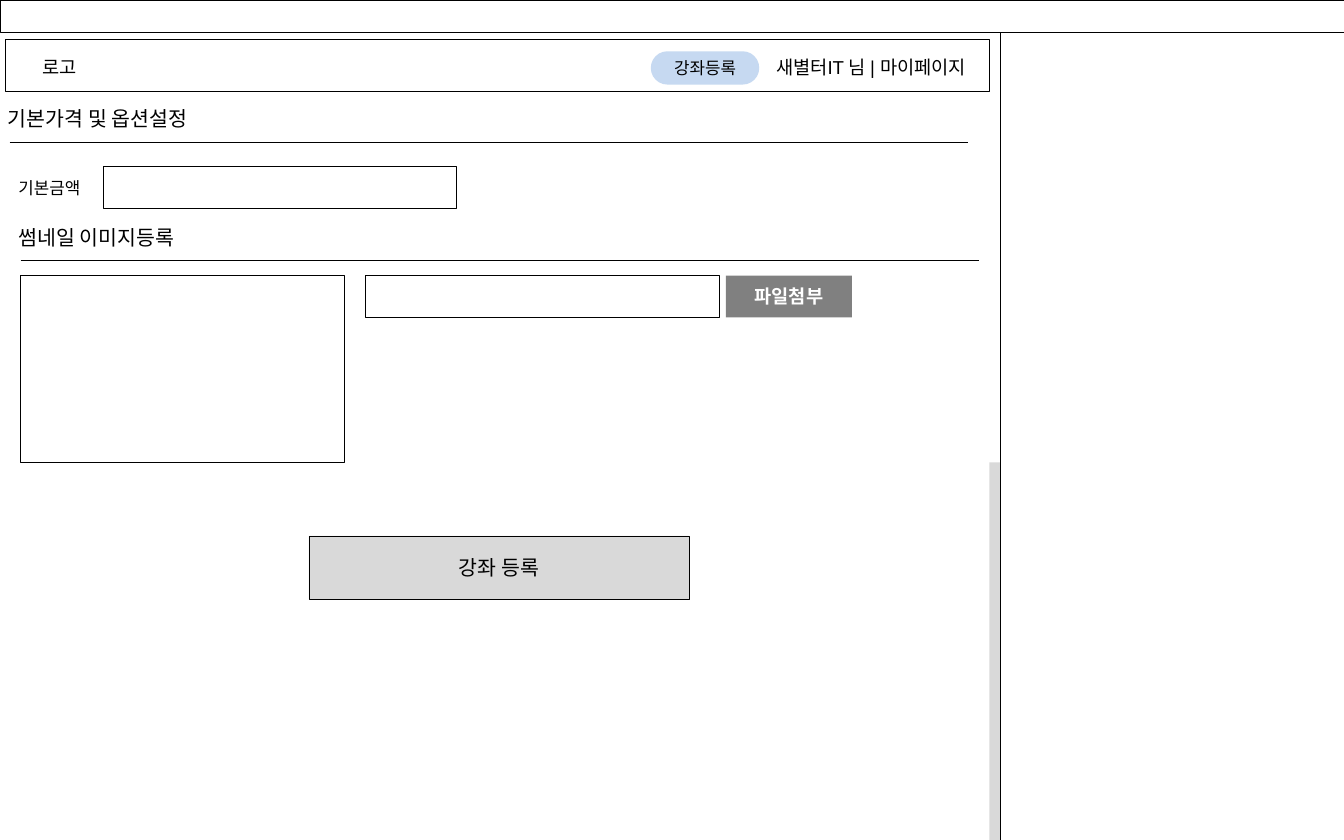
from lxml import etree
from pptx import Presentation
from pptx.dml.color import RGBColor
from pptx.enum import shapes, text
from pptx.oxml.ns import qn
from pptx.util import Cm, Pt

COLORS = {"black": "000000", "white": "FFFFFF", "pill": "C6D9F1",
          "light": "D9D9D9", "grey": "808080"}
KOREAN = "Noto Sans CJK KR"
SLIDE_W, SLIDE_H = 25.4, 15.88
BAR_H = 0.61
PANEL_X = 18.9
SCROLL_W = 0.2
SCROLL_Y = 8.74
FIELD_W, FIELD_H = 6.68, 0.79
THUMB_X, THUMB_Y = 0.39, 5.21
RULE_W = 18.11

# Outlined boxes: left, top, width, height
FRAMES = [
    (PANEL_X, 0, SLIDE_W - PANEL_X, SLIDE_H),       # side panel
    (0, 0, SLIDE_W, BAR_H),                         # top bar
    (0.1, 0.74, 18.6, 0.99),                        # page header
    (1.95, 3.15, FIELD_W, FIELD_H),                 # price field
    (THUMB_X, THUMB_Y, 6.12, SCROLL_Y - THUMB_Y),   # thumbnail preview
    (6.91, THUMB_Y, FIELD_W, FIELD_H),              # file field
]
SCROLLBAR = (PANEL_X - SCROLL_W, SCROLL_Y, SCROLL_W, SLIDE_H - SCROLL_Y)

# Buttons: wording, box, fill, outlined, text format
BUTTONS = [
    ("강좌등록", (12.3, 0.97, 2.05, 0.63), "pill", False, {"size": Pt(9)}),
    ("파일첨부", (13.72, THUMB_Y, 2.38, FIELD_H), "grey", False,
     {"size": Pt(10), "bold": True}),
    ("강좌 등록", (5.84, 10.13, 7.19, 1.2), "light", True, {"size": Pt(11)}),
]

# Labels: wording, box, size, centred
LABELS = [
    ("로고", (0.51, 0.94, 1.22, 0.68), 10, True),
    ("새별터IT 님 | 마이페이지", (14.22, 0.94, 4.48, 0.68), 10, True),
    ("기본가격 및 옵션설정", (-0.1, 1.88, 4.32, 0.73), 11, False),
    ("기본금액", (0.1, 3.23, 1.8, 0.64), 9, False),
    ("썸네일 이미지등록", (0.1, 4.12, 3.78, 0.73), 11, False),
]

# Section rules: left, top
RULES = [(0.18, 2.69), (THUMB_X, 4.93)]


def rgb(name):
    return RGBColor.from_string(COLORS[name])


def add_box(s, box, fill="white", outlined=True, kind=shapes.MSO_SHAPE.RECTANGLE):
    sp = s.shapes.add_shape(kind, *map(Cm, box))
    sp.shadow.inherit = False
    sp.fill.solid()
    sp.fill.fore_color.rgb = rgb(fill)
    if outlined:
        sp.line.color.rgb = rgb("black")
        sp.line.width = Pt(0.25)
    else:
        sp.line.fill.background()
    return sp


def write(tf, words, color, centred, font):
    p = tf.paragraphs[0]
    p.alignment = text.PP_ALIGN.CENTER if centred else text.PP_ALIGN.LEFT
    r = p.add_run()
    r.text = words
    for name, value in font.items():
        setattr(r.font, name, value)
    r.font.color.rgb = rgb(color)
    etree.SubElement(r.font._element, qn("a:ea"), typeface=KOREAN)


def add_button(s, words, box, fill, outlined, font):
    pill = fill == "pill"
    kind = shapes.MSO_SHAPE.ROUNDED_RECTANGLE if pill else shapes.MSO_SHAPE.RECTANGLE
    sp = add_box(s, box, fill, outlined, kind)
    if pill:
        sp.adjustments[0] = 0.5
    tf = sp.text_frame
    tf.vertical_anchor = text.MSO_ANCHOR.MIDDLE
    color = "white" if fill == "grey" else "black"
    write(tf, words, color, True, {"name": KOREAN, **font})


def add_label(s, words, box, size, centred):
    tf = s.shapes.add_textbox(*map(Cm, box)).text_frame
    tf.word_wrap = False
    tf.auto_size = text.MSO_AUTO_SIZE.SHAPE_TO_FIT_TEXT
    write(tf, words, "black", centred, {"name": "Arial", "size": Pt(size)})


def add_rule(s, x, y):
    line = s.shapes.add_connector(shapes.MSO_CONNECTOR.STRAIGHT,
                                  Cm(x), Cm(y), Cm(x + RULE_W), Cm(y))
    line.line.color.rgb = rgb("black")
    line.line.width = Pt(0.75)
    etree.SubElement(line._element.spPr, qn("a:effectLst"))


def main():
    prs = Presentation()
    prs.slide_width, prs.slide_height = Cm(SLIDE_W), Cm(SLIDE_H)
    s = prs.slides.add_slide(prs.slide_layouts[6])
    for box in FRAMES:
        add_box(s, box)
    add_box(s, SCROLLBAR, "light", False)
    for button in BUTTONS:
        add_button(s, *button)
    for label in LABELS:
        add_label(s, *label)
    for rule in RULES:
        add_rule(s, *rule)
    prs.save("out.pptx")


if __name__ == "__main__":
    main()
